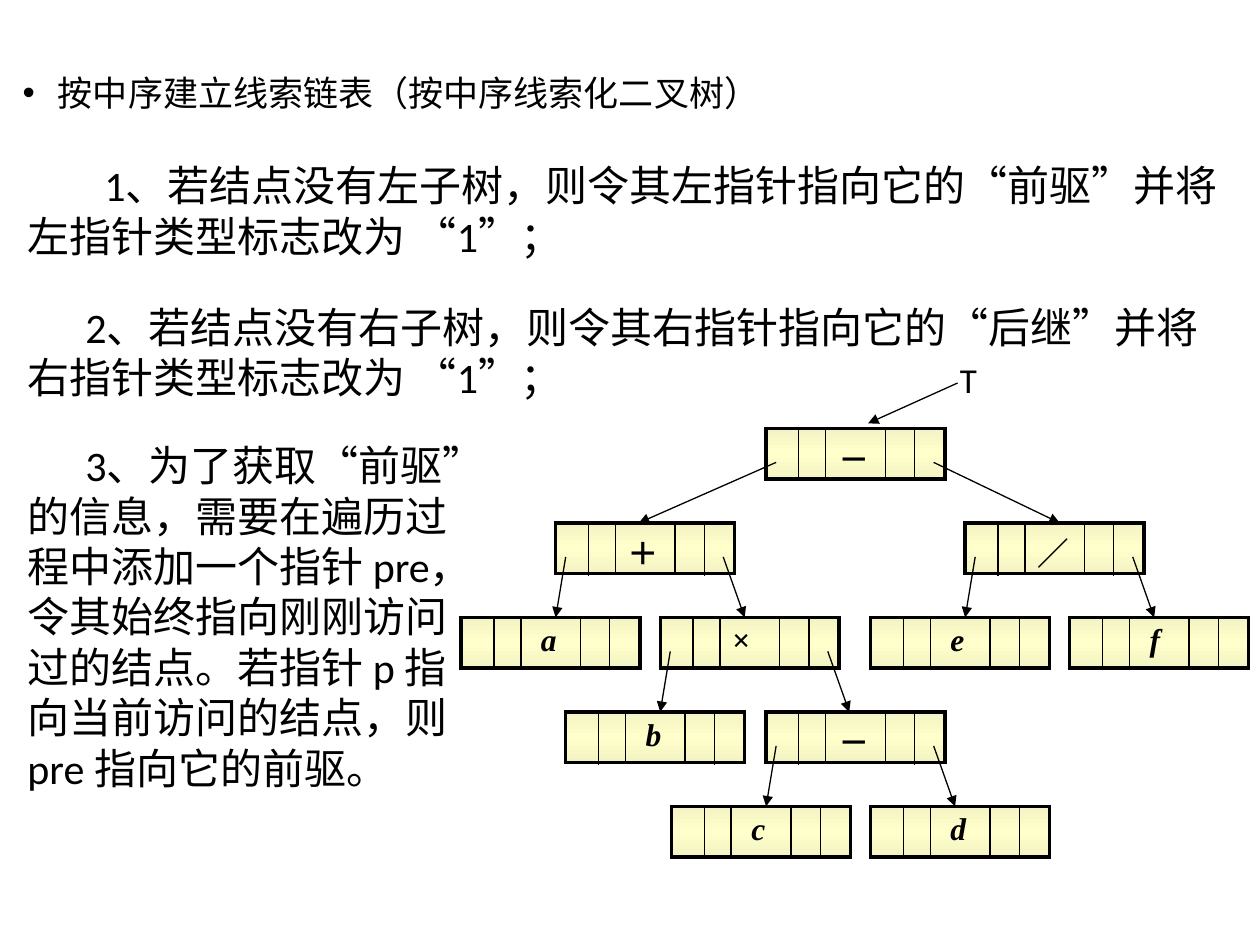
from pptx import Presentation
from pptx.dml.color import RGBColor
from pptx.enum.shapes import MSO_CONNECTOR
from pptx.enum.text import MSO_ANCHOR, MSO_AUTO_SIZE
from pptx.oxml import parse_xml
from pptx.oxml.ns import nsdecls, qn
from pptx.util import Inches, Pt
from lxml import etree

COLORS = {"ink": "000000", "edge": "F3F3C3", "middle": "FFFFCC"}
INK = RGBColor.from_string(COLORS["ink"])


def style_span(span, **formats):
    span.font.color.rgb = INK
    for name, value in formats.items():
        setattr(span.font, name, value)


def add_line(slide, start, end, arrow=False):
    line = slide.shapes.add_connector(
        MSO_CONNECTOR.STRAIGHT, *(Inches(value) for value in (*start, *end)))
    line.line.color.rgb = INK
    line.line.width = Pt(0.75)
    if arrow:
        etree.SubElement(line.line._get_or_add_ln(), qn("a:tailEnd"), type="triangle")
    etree.SubElement(line._element.spPr, qn("a:effectLst"))


deck = Presentation()
deck.slide_width, deck.slide_height = Inches(10), Inches(7.5)
slide = deck.slides.add_slide(deck.slide_layouts[1])
title = slide.shapes.title
title._element.getparent().remove(title._element)

# Bulleted heading
body = slide.placeholders[1]
body.left, body.top, body.width, body.height = (
    Inches(value) for value in (0.08, 0.52, 6.3, 0.44))
frame = body.text_frame
frame.auto_size = MSO_AUTO_SIZE.NONE
frame.vertical_anchor = MSO_ANCHOR.TOP
para = frame.paragraphs[0]
para.space_before = Pt(0)
properties = para._p.get_or_add_pPr()
properties.set("marL", str(Inches(0.28)))
properties.set("indent", str(-Inches(0.28)))
for text, font in (("按中序", "Arial"), ("建立线索链表（", "Calibri"),
                   ("按中序线索化二叉树", "Arial"), ("）", "Calibri")):
    span = para.add_run()
    span.text = text
    style_span(span, name=font, size=Pt(20))

# Numbered rules: top, width, height, first-line indent, lines
rules = [
    (1.22, 9.85, 0.91, 0.61,
     ["1、若结点没有左子树，则令其左指针指向它的“前驱”并将", "左指针类型标志改为 “1”；"]),
    (2.34, 9.85, 0.91, 0.46,
     ["2、若结点没有右子树，则令其右指针指向它的“后继”并将", "右指针类型标志改为 “1”；"]),
    (3.44, 3.94, 2.93, 0.46,
     ["3、为了获取“前驱”", "的信息，需要在遍历过", "程中添加一个指针 pre，", "令其始终指向刚刚访问",
      "过的结点。若指针 p 指", "向当前访问的结点，则", "pre 指向它的前驱。"]),
]
for top, width, height, indent, lines in rules:
    box = slide.shapes.add_textbox(Inches(0.12), Inches(top), Inches(width), Inches(height))
    box.text_frame.word_wrap = True
    para = box.text_frame.paragraphs[0]
    para._p.get_or_add_pPr().set("indent", str(Inches(indent)))
    para.text = "\v".join(lines)
    for span in para.runs:
        style_span(span, name="Calibri", size=Pt(24))

# Tree nodes: symbol, left, level, parent index, side of parent, arrow tip x
nodes = [
    ("－", 6.08, 0, None, None, None),
    ("＋", 4.41, 1, 0, "left", 5.07),
    ("／", 7.66, 1, 0, "right", 8.41),
    ("a", 3.66, 2, 1, "left", 4.41),
    ("×", 5.24, 2, 1, "right", 5.91),
    ("e", 6.91, 2, 2, "left", 7.66),
    ("f", 8.49, 2, 2, "right", 9.16),
    ("b", 4.49, 3, 4, "left", 5.24),
    ("－", 6.08, 3, 4, "right", 6.74),
    ("c", 5.33, 4, 8, "left", 6.08),
    ("d", 6.91, 4, 8, "right", 7.58),
]
FIRST_TOP, LEVEL_GAP = 3.4, 0.75
NODE_WIDTH, NODE_HEIGHT = 1.42, 0.4
POINTER_X = {"left": 0.08, "right": 1.33}

for symbol, left, level, *_ in nodes:
    top = FIRST_TOP + level * LEVEL_GAP
    table = slide.shapes.add_table(1, 3, Inches(left), Inches(top),
                                   Inches(NODE_WIDTH), Inches(NODE_HEIGHT)).table
    table.first_row = table.horz_banding = False
    for column in range(3):
        cell = table.cell(0, column)
        cell_properties = cell._tc.get_or_add_tcPr()
        borders = {"lnL": 2.25 if column == 0 else 1, "lnR": 2.25 if column == 2 else 1,
                   "lnT": 2.25, "lnB": 2.25}
        for side, width in borders.items():
            cell_properties.append(parse_xml(
                f'<a:{side} {nsdecls("a")} w="{Pt(width)}"><a:solidFill>'
                f'<a:srgbClr val="{COLORS["ink"]}"/></a:solidFill></a:{side}>'))
        stops = "".join(
            f'<a:gs pos="{position}"><a:srgbClr val="{COLORS[color]}"/></a:gs>'
            for position, color in ((0, "edge"), (50000, "middle"), (100000, "edge")))
        cell_properties.append(parse_xml(
            f'<a:gradFill {nsdecls("a")}><a:gsLst>{stops}</a:gsLst>'
            '<a:lin ang="5400000" scaled="1"/></a:gradFill>'))
    cell = table.cell(0, 1)
    is_letter = symbol.isascii()
    cell.margin_left = Inches(0.16 if is_letter else 0.1)
    span = cell.text_frame.paragraphs[0].add_run()
    span.text = symbol
    style_span(span, name="Times New Roman", size=Pt(18), bold=True, italic=is_letter)

# Pointers from parents to children
for symbol, left, level, parent, side, tip_x in nodes[1:]:
    parent_left, parent_level = nodes[parent][1:3]
    start = (parent_left + POINTER_X[side], FIRST_TOP + parent_level * LEVEL_GAP + 0.27)
    add_line(slide, start, (tip_x, FIRST_TOP + level * LEVEL_GAP), arrow=True)

# Dividers between pointers and their type flags
for symbol, left, level, *_ in nodes:
    top = FIRST_TOP + level * LEVEL_GAP
    for offset in (0.26, 1.18):
        add_line(slide, (left + offset, top), (left + offset, top + 0.42))

# Root pointer
box = slide.shapes.add_textbox(Inches(7.52), Inches(2.8), Inches(0.51), Inches(0.43))
box.text_frame.word_wrap = True
span = box.text_frame.paragraphs[0].add_run()
span.text = "T"
style_span(span, name="Calibri", size=Pt(20))
add_line(slide, (7.6, 3.04), (6.89, 3.36), arrow=True)

deck.save("out.pptx")
